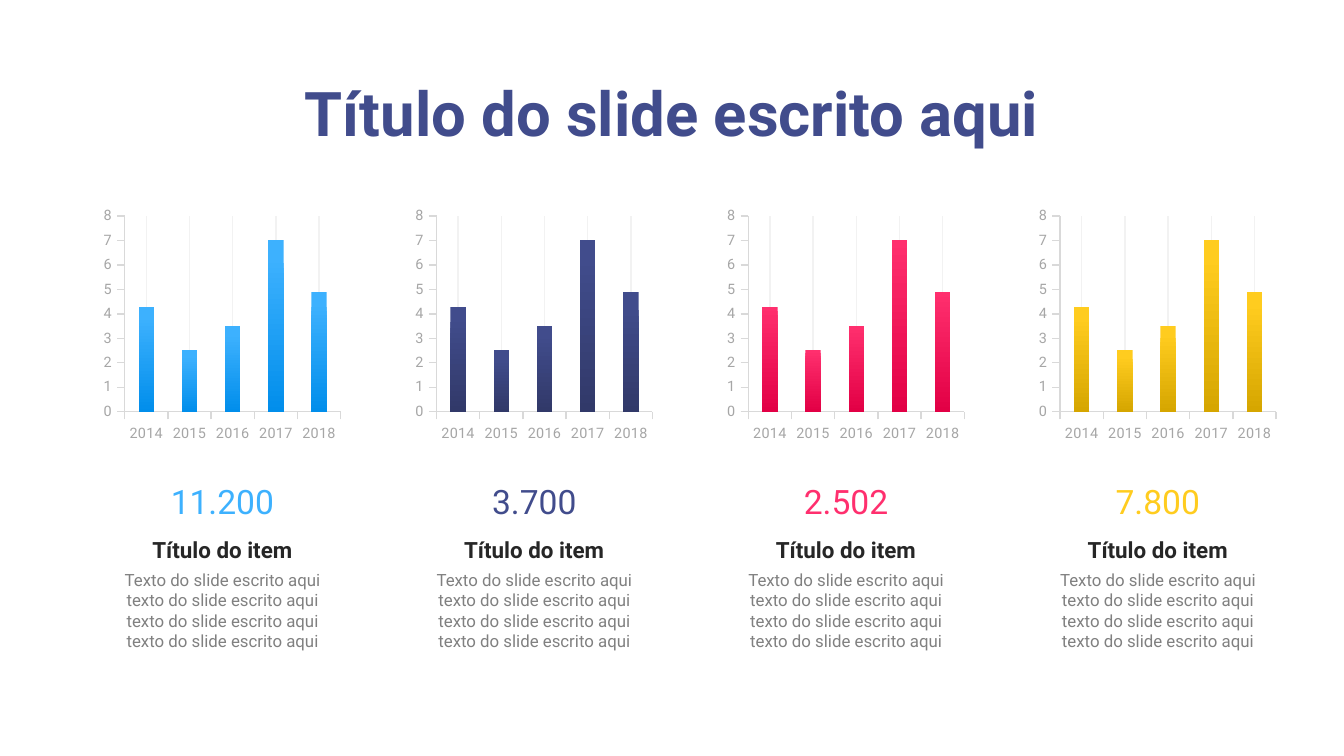
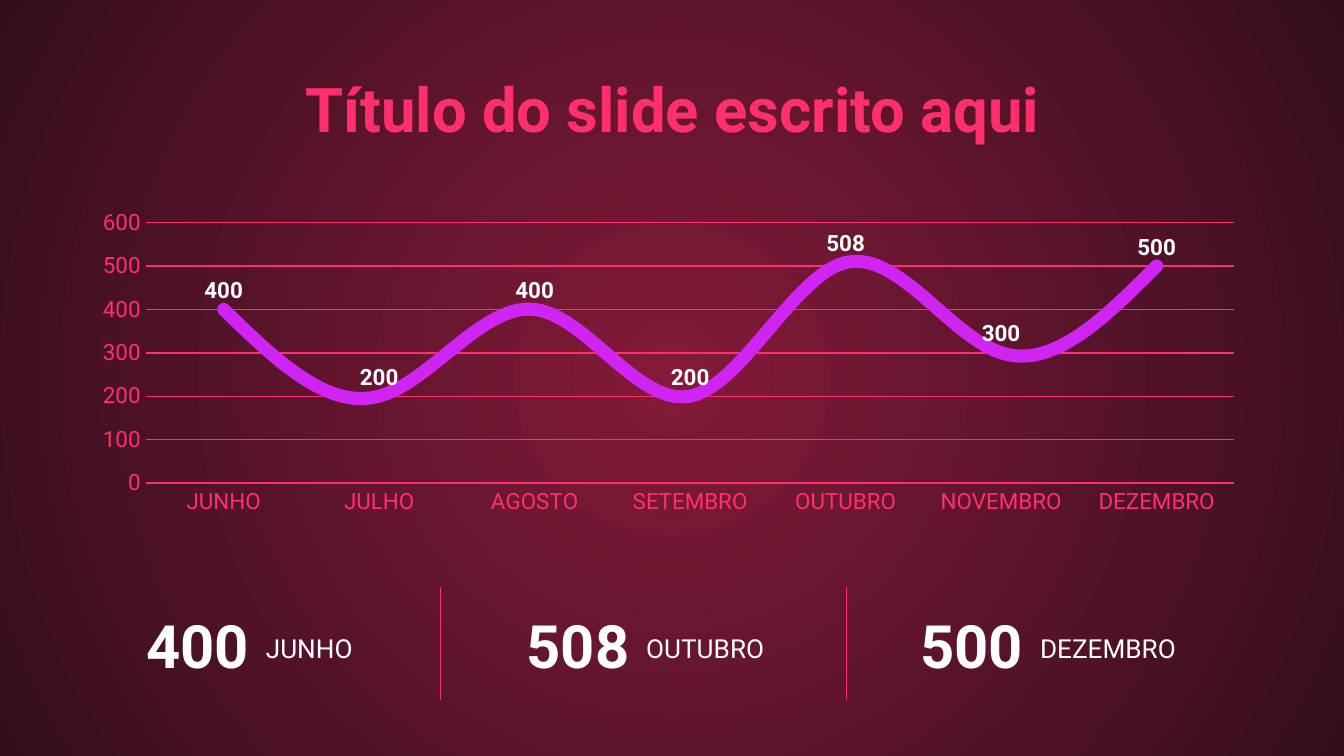
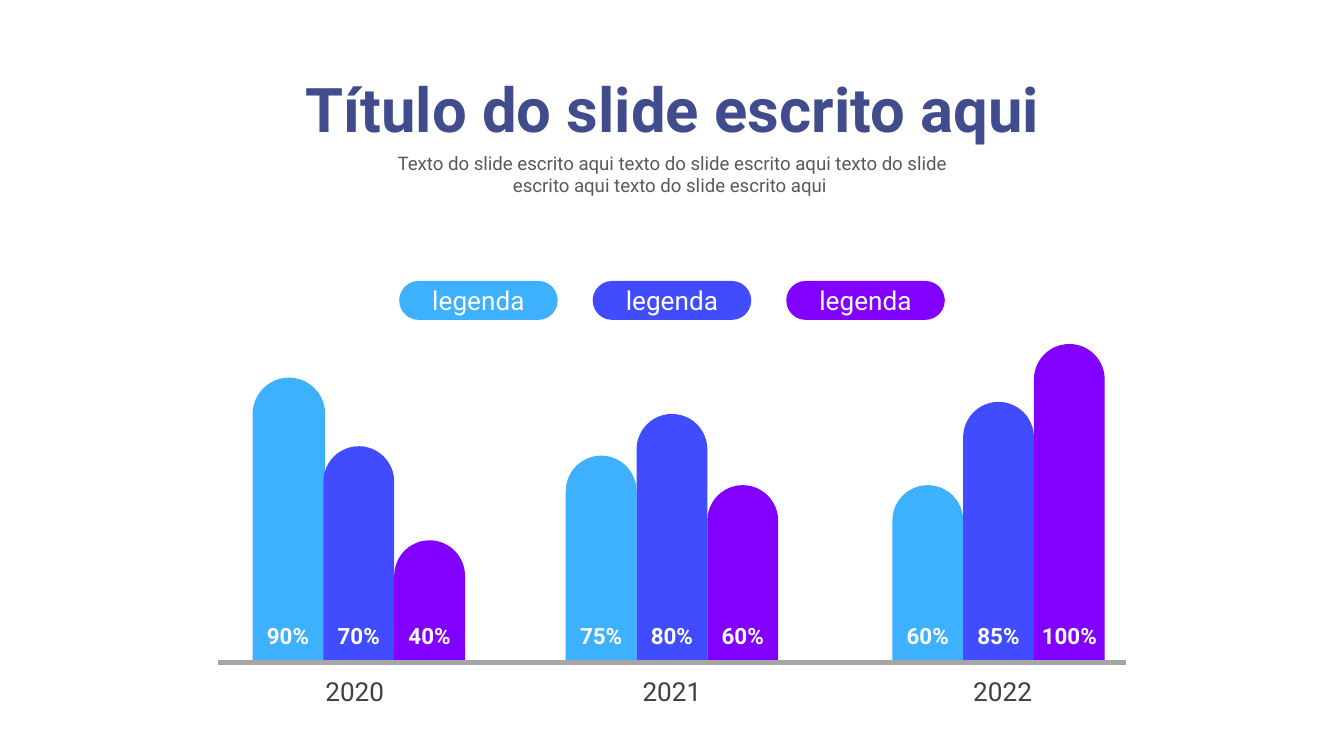
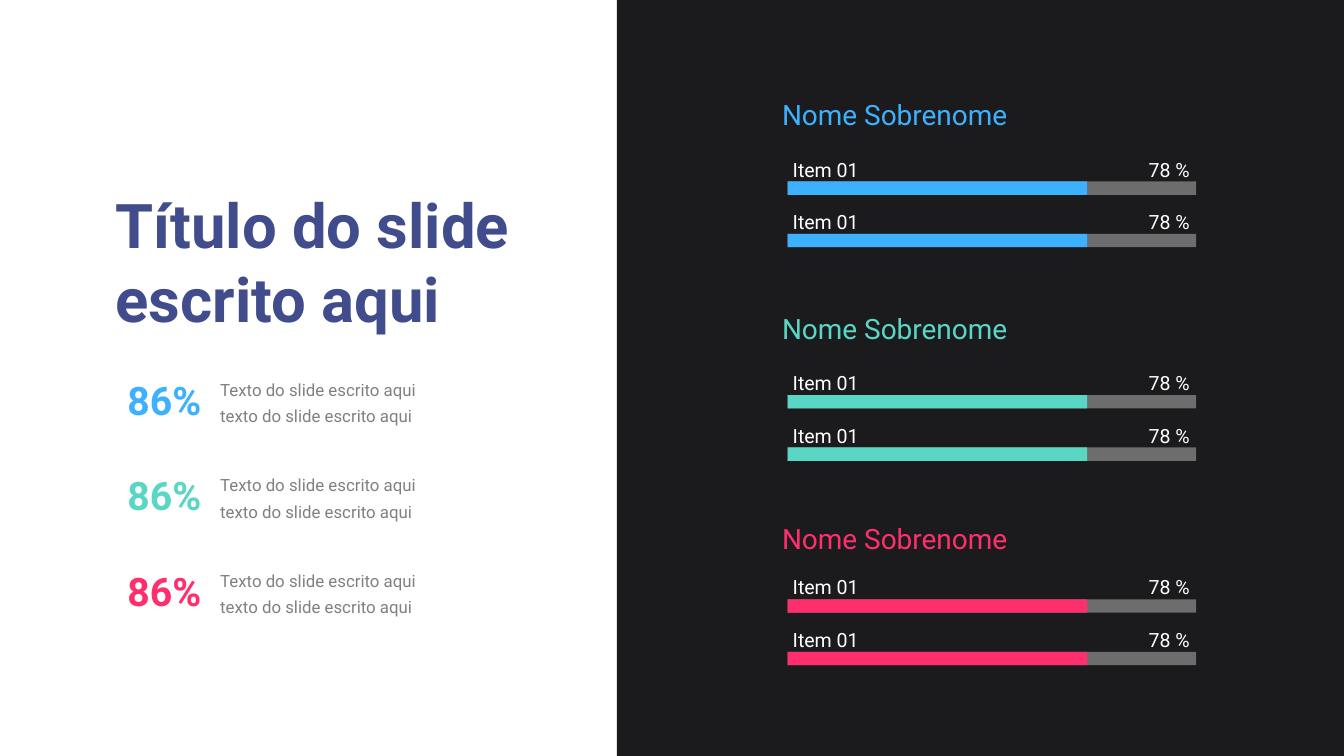
from lxml.etree import SubElement as Sub
from pptx import Presentation
from pptx.chart.data import CategoryChartData as ChartData
from pptx.dml.color import RGBColor
from pptx.enum.chart import XL_CHART_TYPE as Kind
from pptx.enum.chart import XL_LABEL_POSITION as Spot
from pptx.enum.chart import XL_TICK_MARK as Tick
from pptx.enum.shapes import MSO_CONNECTOR as Link
from pptx.enum.shapes import MSO_SHAPE as Form
from pptx.enum.text import MSO_ANCHOR as Anchor
from pptx.enum.text import MSO_AUTO_SIZE as Fit
from pptx.enum.text import PP_ALIGN as Align
from pptx.oxml.ns import qn
from pptx.util import Inches, Pt

# Shared style
FONT = "Roboto"
WIDE = 10
HIGH = WIDE * 9 / 16
TITLE = "Título do slide escrito aqui"
BODY = "Texto do slide escrito aqui" + " texto do slide escrito aqui" * 3

WHITE = RGBColor(0xFF, 0xFF, 0xFF)
BLACK = RGBColor(0x1B, 0x1B, 0x1D)
INK = RGBColor(0x26, 0x26, 0x26)
COAL = RGBColor(0x40, 0x40, 0x40)
SLATE = RGBColor(0x59, 0x59, 0x59)
GREY = RGBColor(0x80, 0x80, 0x80)
ASH = RGBColor(0xA6, 0xA6, 0xA6)
TRACK = RGBColor(0xBF, 0xBF, 0xBF)
RULE = RGBColor(0xD9, 0xD9, 0xD9)
GRID = RGBColor(0xF2, 0xF2, 0xF2)
NAVY = RGBColor(0x41, 0x4C, 0x8C)
NIGHT = RGBColor(0x31, 0x39, 0x69)
SKY = RGBColor(0x3D, 0xB1, 0xFE)
AZURE = RGBColor(0x01, 0x8E, 0xEB)
PINK = RGBColor(0xFF, 0x2F, 0x6E)
RED = RGBColor(0xE2, 0x00, 0x45)
GOLD = RGBColor(0xFF, 0xCC, 0x1F)
AMBER = RGBColor(0xD6, 0xA6, 0x00)
WINE = RGBColor(0x83, 0x1A, 0x39)
PLUM = RGBColor(0x34, 0x0E, 0x1D)
LILAC = RGBColor(0xCF, 0x24, 0xF2)
BLUE = RGBColor(0x41, 0x4B, 0xFF)
VIOLET = RGBColor(0x82, 0x00, 0xFF)
MINT = RGBColor(0x5A, 0xD7, 0xC4)


def style(font, size, color, bold=False):
    font.name = FONT
    font.size = Pt(size)
    font.bold = bold
    font.color.rgb = color


def write(frame, text, size, color, bold=False, align=Align.LEFT, space=None):
    frame.text = text
    para = frame.paragraphs[0]
    para.alignment = align
    if space:
        para.line_spacing = space
    style(para.runs[0].font, size, color, bold)


def add_text(slide, box, text, size, color, bold=False, align=Align.LEFT,
             space=None, wrap=True, anchor=Anchor.TOP):
    frame = slide.shapes.add_textbox(*map(Inches, box)).text_frame
    frame.word_wrap = wrap
    frame.auto_size = Fit.SHAPE_TO_FIT_TEXT
    frame.vertical_anchor = anchor
    write(frame, text, size, color, bold, align, space)


def add_title(slide, box, color=NAVY, align=Align.CENTER):
    title = slide.shapes.title
    title.element.getparent().append(title.element)  # bring to front
    title.left, title.top, title.width, title.height = map(Inches, box)
    frame = title.text_frame
    frame.word_wrap = True
    frame.auto_size = Fit.SHAPE_TO_FIT_TEXT
    frame.vertical_anchor = Anchor.TOP
    write(frame, TITLE, 33, color, True, align)


def add_box(slide, box, color, form=Form.RECTANGLE):
    shape = slide.shapes.add_shape(form, *map(Inches, box))
    shape.shadow.inherit = False
    shape.fill.solid()
    shape.fill.fore_color.rgb = color
    shape.line.fill.background()
    return shape


def add_pill(slide, box, color):
    pill = add_box(slide, box, color, Form.ROUNDED_RECTANGLE)
    pill.adjustments[0] = 0.5
    return pill


def add_line(slide, start, end, color, width):
    line = slide.shapes.add_connector(Link.STRAIGHT, *map(Inches, start + end))
    paint(line.line, color, width)
    Sub(line.element.spPr, qn("a:effectLst"))


def paint(line, color, width=0.75):
    line.color.rgb = color
    line.width = Pt(width)


def blend(fill, stops):
    fill.gradient()
    for stop, (place, color) in zip(fill.gradient_stops, stops):
        stop.position = place
        stop.color.rgb = color


def add_glow(slide, inner, outer):
    shape = add_box(slide, (0, 0, WIDE, HIGH), inner)
    blend(shape.fill, [(0, inner), (1, outer)])
    grad = shape.element.spPr.find(qn("a:gradFill"))
    grad.remove(grad.find(qn("a:lin")))
    ring = Sub(grad, qn("a:path"), path="circle")
    Sub(ring, qn("a:fillToRect"), {side: "50000" for side in "ltrb"})


def add_chart(slide, kind, box, cats, vals, size, color, top, step, tick):
    data = ChartData()
    data.categories = cats
    data.add_series("Series 1", vals)
    chart = slide.shapes.add_chart(kind, *map(Inches, box), data).chart
    chart.has_legend = False
    chart.has_title = False
    style(chart.font, size, color)
    for axis in (chart.category_axis, chart.value_axis):
        axis.major_tick_mark = tick
        axis.minor_tick_mark = Tick.NONE
        style(axis.tick_labels.font, size, color)
    axis = chart.value_axis
    axis.minimum_scale, axis.maximum_scale, axis.major_unit = 0, top, step
    chart.plots[0].vary_by_categories = False
    return chart


def set_plot(chart, x, y, w, h):
    area = chart.element.find(".//" + qn("c:plotArea"))
    layout = area.find(qn("c:layout"))
    if layout is None:
        layout = area.makeelement(qn("c:layout"))
        area.insert(0, layout)
    manual = Sub(layout, qn("c:manualLayout"))
    parts = [("layoutTarget", "inner"), ("xMode", "edge"), ("yMode", "edge"),
             ("x", x), ("y", y), ("w", w), ("h", h)]
    for tag, val in parts:
        Sub(manual, qn("c:" + tag), val=str(val))


def add_rules(chart, color):
    """Draw light lines through the middle of each category."""
    chart.category_axis.has_minor_gridlines = True
    node = chart.element.xpath(".//c:catAx/c:minorGridlines")[0]
    line = Sub(Sub(node, qn("c:spPr")), qn("a:ln"), w=str(Pt(0.75)))
    Sub(Sub(line, qn("a:solidFill")), qn("a:srgbClr"), val=str(color))


def add_columns(slide, box, stops):
    cats = ["2014", "2015", "2016", "2017", "2018"]
    chart = add_chart(slide, Kind.COLUMN_CLUSTERED, box, cats,
                      [4.3, 2.5, 3.5, 7, 4.9], 8, ASH, 8, 1, Tick.OUTSIDE)
    set_plot(chart, 0.06, 0.04, 0.94, 0.86)
    chart.value_axis.has_major_gridlines = False
    add_rules(chart, GRID)
    for axis in (chart.category_axis, chart.value_axis):
        paint(axis.format.line, RULE)
    plot = chart.plots[0]
    plot.gap_width = 182
    fill = plot.series[0].format.fill
    blend(fill, stops)
    fill.gradient_angle = 270


def add_curve(slide, box):
    cats = ["JUNHO", "JULHO", "AGOSTO", "SETEMBRO", "OUTUBRO", "NOVEMBRO",
            "DEZEMBRO"]
    chart = add_chart(slide, Kind.LINE, box, cats,
                      [400, 200, 400, 200, 508, 300, 500], 12, PINK, 600, 100,
                      Tick.NONE)
    chart.value_axis.has_major_gridlines = True
    paint(chart.value_axis.major_gridlines.format.line, PINK)
    paint(chart.category_axis.format.line, PINK)
    chart.value_axis.format.line.fill.background()
    plot = chart.plots[0]
    series = plot.series[0]
    series.smooth = True
    paint(series.format.line, LILAC, 7)
    chart.element.xpath(".//c:ser/c:spPr/a:ln")[0].set("cap", "rnd")
    labels = series.data_labels
    labels.show_value = True
    labels.position = Spot.ABOVE
    style(labels.font, 12, WHITE, True)


def add_meter(slide, top, color):
    left, width = 5.86, 3.04
    add_text(slide, (5.8, top, 0.72, 0.31), "Item 01", 10.5, WHITE, space=1.3)
    add_text(slide, (8.23, top, 0.72, 0.31), "78 %", 10.5, WHITE,
             align=Align.RIGHT, space=1.3)
    track = add_box(slide, (left, top + 0.28, width, 0.1), TRACK)
    tone = track.element.spPr.find(qn("a:solidFill"))[0]
    Sub(tone, qn("a:alpha"), val="50000")
    add_box(slide, (left, top + 0.28, 2.23, 0.1), color)


# Slide 1: four column charts
def build_columns(slide):
    items = [("11.200", 0.1, SKY, AZURE), ("3.700", 0.1, NAVY, NIGHT),
             ("2.502", 0, PINK, RED), ("7.800", 0.1, GOLD, AMBER)]
    width = 1.77
    for i, (total, start, light, dark) in enumerate(items):
        left = 0.77 + 2.32 * i
        add_columns(slide, (left, 1.54, width, 1.75),
                    [(start, light), (1, dark)])
        add_text(slide, (left, 3.53, width, 0.4), total, 18, light,
                 align=Align.CENTER)
        add_text(slide, (left, 3.94, width, 0.3), "Título do item", 12, INK,
                 True, Align.CENTER)
        add_text(slide, (left, 4.19, width, 0.71), BODY, 9, GREY,
                 align=Align.CENTER)
    add_title(slide, (1.05, 0.51, 7.9, 0.66))


# Slide 2: smooth line and three key figures
def build_curve(slide):
    add_glow(slide, WINE, PLUM)
    add_curve(slide, (0.59, 1.51, 8.77, 2.37))
    figures = [(0.99, "400", "JUNHO"), (3.82, "508", "OUTUBRO"),
               (6.75, "500", "DEZEMBRO")]
    for left, value, month in figures:
        add_text(slide, (left, 4.48, 1.1, 0.64), value, 32, WHITE, True)
        add_text(slide, (left + 0.89, 4.65, 1.24, 0.34), month, 14, WHITE,
                 anchor=Anchor.MIDDLE)
    for x in (3.28, 6.3):
        add_line(slide, (x, 4.37), (x, 5.21), PINK, 0.5)
    add_title(slide, (0.87, 0.48, 8.27, 0.66), PINK)


# Slide 3: rounded bars by year
def build_years(slide):
    hues = (SKY, BLUE, VIOLET)
    base, foot, step = 4.93, 5.3, 1.58 / 3
    years = [("2020", 1.72, 1.88, [(90, 2.81), (70, 3.32), (40, 4.02)]),
             ("2021", 4.08, 4.21, [(75, 3.39), (80, 3.08), (60, 3.61)]),
             ("2022", 6.54, 6.64, [(60, 3.61), (85, 2.99), (100, 2.56)])]
    for _, _, left, bars in years:
        for i, (rate, top) in enumerate(bars):
            width = 0.54 if rate == 90 else step
            add_pill(slide, (left + step * i, top, width, foot - top), hues[i])
    for i, hue in enumerate(hues):
        pill = add_pill(slide, (2.97 + 1.44 * i, 2.09, 1.18, 0.29), hue)
        pill.text_frame.vertical_anchor = Anchor.MIDDLE
        write(pill.text_frame, "legenda", 14, WHITE, align=Align.CENTER)

    # Ground line hides the lower ends of the bars
    add_box(slide, (0, base, WIDE, HIGH - base), WHITE)
    add_line(slide, (1.62, base), (8.38, base), ASH, 2.25)
    for year, side, left, bars in years:
        add_text(slide, (side, 4.98, 1.84, 0.34), year, 14, COAL,
                 align=Align.CENTER)
        for i, (rate, _) in enumerate(bars):
            width = 0.64 if rate == 100 else step
            mid = left + step * (i + 0.5)
            add_text(slide, (mid - width / 2, 4.58, width, 0.3), f"{rate}%",
                     12, WHITE, True, Align.CENTER)
    add_text(slide, (2.71, 1.08, 4.58, 0.44), BODY + " ", 10, SLATE,
             align=Align.CENTER)
    add_title(slide, (0.87, 0.48, 8.27, 0.66))


# Slide 4: rates on the left, meters on the dark panel
def build_meters(slide):
    add_box(slide, (4.59, 0, 5.41, HIGH), BLACK)
    groups = [(SKY, 0.68, 1.07), (MINT, 2.27, 2.66), (PINK, 3.83, 4.18)]
    for i, (hue, head, first) in enumerate(groups):
        add_text(slide, (5.72, head, 2.65, 0.35), "Nome Sobrenome", 15, hue)
        for top in (first, first + 0.39):
            add_meter(slide, top, hue)
        top = 2.75 + 0.71 * i
        add_text(slide, (0.85, top, 0.76, 0.45), "86%", 21, hue, True,
                 wrap=False)
        add_text(slide, (1.54, top - 0.02, 1.81, 0.48),
                 "Texto do slide escrito aqui texto do slide escrito aqui",
                 9, GREY, space=1.3)
    add_title(slide, (0.76, 1.34, 3.54, 1.21), align=Align.LEFT)


def main():
    deck = Presentation()
    deck.slide_width, deck.slide_height = Inches(WIDE), Inches(HIGH)
    layout = deck.slide_layouts[5]
    for build in (build_columns, build_curve, build_years, build_meters):
        build(deck.slides.add_slide(layout))
    deck.save("out.pptx")


if __name__ == "__main__":
    main()
